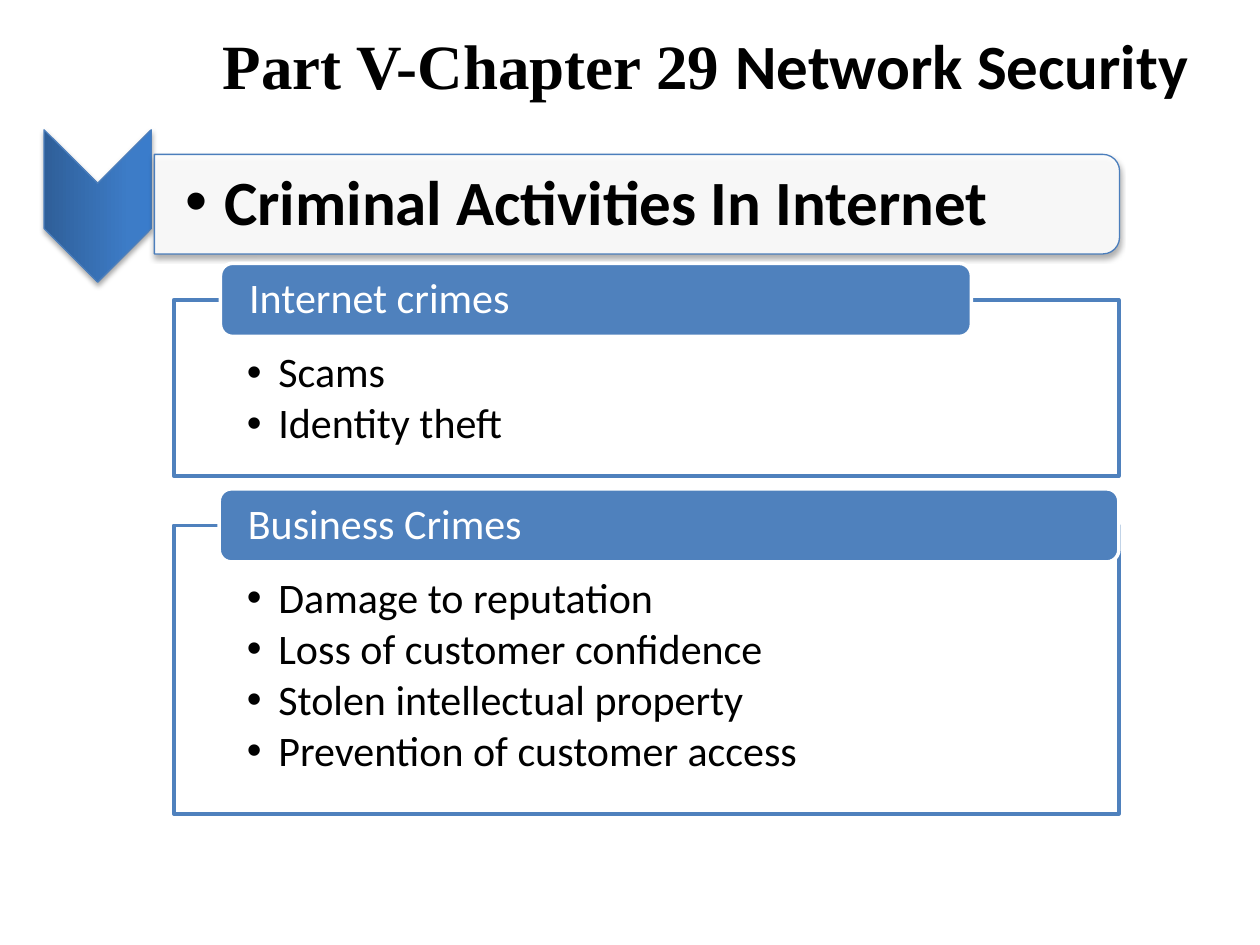
from dataclasses import dataclass

from lxml import etree
from pptx import Presentation
from pptx import util as u
from pptx.dml.color import RGBColor
from pptx.enum import shapes, text
from pptx.oxml import parse_xml
from pptx.oxml.ns import nsdecls, qn

BLUE = "4F81BD"
EDGE = "4B7EBC"
WHITE = "FFFFFF"
BLACK = "000000"


@dataclass
class Section:
    heading: str
    heading_left: float
    heading_width: float
    top: float
    height: float
    items: list[str]


SECTIONS = [
    Section("Internet crimes", 1.75, 5.96, 2.38, 1.4, ["Scams", "Identity theft"]),
    Section("Business Crimes", 1.74, 7.14, 4.17, 2.29, [
        "Damage to reputation",
        "Loss of customer confidence",
        "Stolen intellectual property",
        "Prevention of customer access",
    ]),
]


def color(value: str) -> RGBColor:
    return RGBColor.from_string(value)


def add_span(para, content: str, size: float = 24, font: str = "Calibri",
             fill: str = BLACK, bold: bool = False) -> None:
    span = para.add_run()
    span.text = content
    span.font.size = u.Pt(size)
    span.font.name = font
    span.font.bold = bold
    span.font.color.rgb = color(fill)


def write(box, lines: list[str], insets: tuple, indent: float = 0,
          after: float = 0, middle: bool = False, **style) -> None:
    frame = box.text_frame
    frame.word_wrap = True
    frame.margin_left, frame.margin_top, frame.margin_right, frame.margin_bottom = map(u.Inches, insets)
    frame.vertical_anchor = text.MSO_ANCHOR.MIDDLE if middle else text.MSO_ANCHOR.TOP
    for index, line in enumerate(lines):
        para = frame.add_paragraph() if index else frame.paragraphs[0]
        para.alignment = text.PP_ALIGN.LEFT
        para.line_spacing = 0.9
        para.space_after = u.Pt(after)
        if indent:
            para.level = 1
            props = para._p.get_or_add_pPr()
            props.set("marL", str(u.Inches(indent)))
            props.set("indent", str(u.Inches(-indent)))
            etree.SubElement(props, qn("a:buFont"), typeface="Arial")
            etree.SubElement(props, qn("a:buChar"), char="•")
        add_span(para, line, **style)


def add_panel(page, kind, left: float, top: float, width: float, height: float,
              fill: str, line: str, weight: float, opacity: int = 100, rotation: float = 0):
    panel = page.shapes.add_shape(kind, *map(u.Inches, (left, top, width, height)))
    panel.rotation = rotation
    panel.fill.solid()
    panel.fill.fore_color.rgb = color(fill)
    if opacity < 100:
        shade = panel._element.spPr.find(".//" + qn("a:srgbClr"))
        etree.SubElement(shade, qn("a:alpha"), val=str(opacity * 1000))
    panel.line.color.rgb = color(line)
    panel.line.width = u.Pt(weight)
    panel.shadow.inherit = False
    return panel


def add_shadow(panel) -> None:
    effects = panel._element.spPr.find(qn("a:effectLst"))
    effects.append(parse_xml(
        f'<a:outerShdw {nsdecls("a")} blurRad="{u.Pt(3.1)}" dist="{u.Pt(1.8)}" '
        f'dir="5400000" rotWithShape="0"><a:srgbClr val="{BLACK}">'
        '<a:alpha val="35000"/></a:srgbClr></a:outerShdw>'))


def set_gradient(panel, stops: list[tuple[int, str]]) -> None:
    marks = "".join(f'<a:gs pos="{place * 1000}"><a:srgbClr val="{value}"/></a:gs>'
                    for place, value in stops)
    props = panel._element.spPr
    props.replace(props.find(qn("a:solidFill")), parse_xml(
        f'<a:gradFill {nsdecls("a")} rotWithShape="1"><a:gsLst>{marks}</a:gsLst>'
        '<a:lin ang="16200000" scaled="0"/></a:gradFill>'))


def add_title(page) -> None:
    title = page.shapes.title
    title.left, title.top, title.width, title.height = map(u.Inches, (1.2, 0.02, 8.8, 0.98))
    title.text_frame.vertical_anchor = text.MSO_ANCHOR.MIDDLE
    para = title.text_frame.paragraphs[0]
    para.alignment = text.PP_ALIGN.CENTER
    add_span(para, "Part V-Chapter 29 ", size=36, font="Times New Roman", bold=True)
    add_span(para, "Network Security", size=36, bold=True)


def add_banner(page) -> None:
    kinds = shapes.MSO_SHAPE
    chevron = add_panel(page, kinds.CHEVRON, 0.17, 1.21, 1.21, 0.85, BLUE, EDGE, 0.75, rotation=90)
    set_gradient(chevron, [(0, "2F5F99"), (80, "3D7CC7"), (100, "3A7CCB")])
    add_shadow(chevron)
    banner = add_panel(page, kinds.ROUND_2_SAME_RECTANGLE, 4.66, -2.21, 0.79, 7.66,
                       WHITE, EDGE, 0.75, opacity=90, rotation=90)
    add_shadow(banner)
    box = page.shapes.add_textbox(*map(u.Inches, (1.22, 1.27, 7.63, 0.71)))
    write(box, ["Criminal Activities In Internet"], (0.25, 0.02, 0.02, 0.02),
          indent=0.31, middle=True, size=36, bold=True)


def add_section(page, section: Section) -> None:
    kinds = shapes.MSO_SHAPE
    panel = add_panel(page, kinds.RECTANGLE, 1.38, section.top, 7.5, section.height,
                      WHITE, BLUE, 2, opacity=90)
    write(panel, section.items, (0.58, 0.41, 0.58, 0.19), indent=0.25, after=3.2)
    heading = add_panel(page, kinds.ROUNDED_RECTANGLE, section.heading_left, section.top - 0.29,
                        section.heading_width, 0.58, BLUE, WHITE, 2)
    write(heading, [section.heading], (0.2, 0, 0.2, 0), middle=True, fill=WHITE)


def main() -> None:
    deck = Presentation()
    deck.slide_width, deck.slide_height = u.Inches(10), u.Inches(7.5)
    page = deck.slides.add_slide(deck.slide_layouts[5])
    add_title(page)
    add_banner(page)
    for section in SECTIONS:
        add_section(page, section)
    deck.save("out.pptx")


if __name__ == "__main__":
    main()
